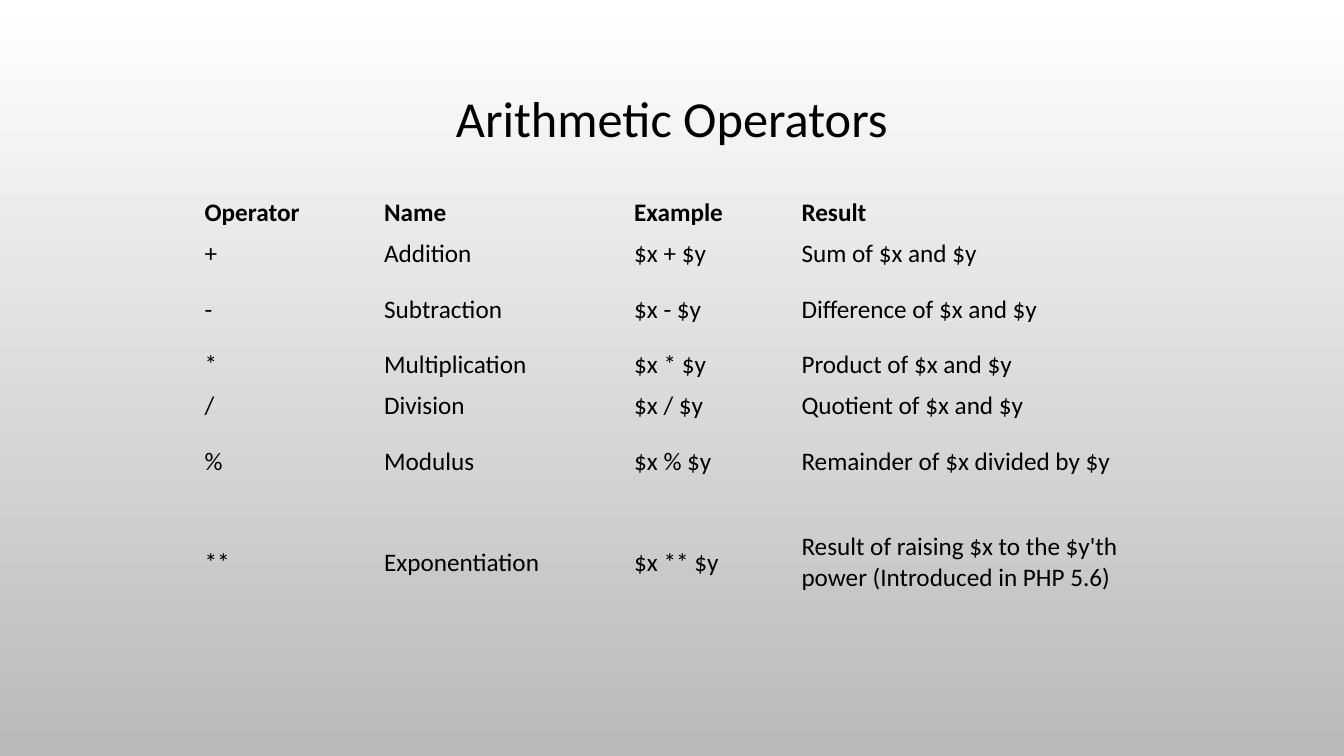
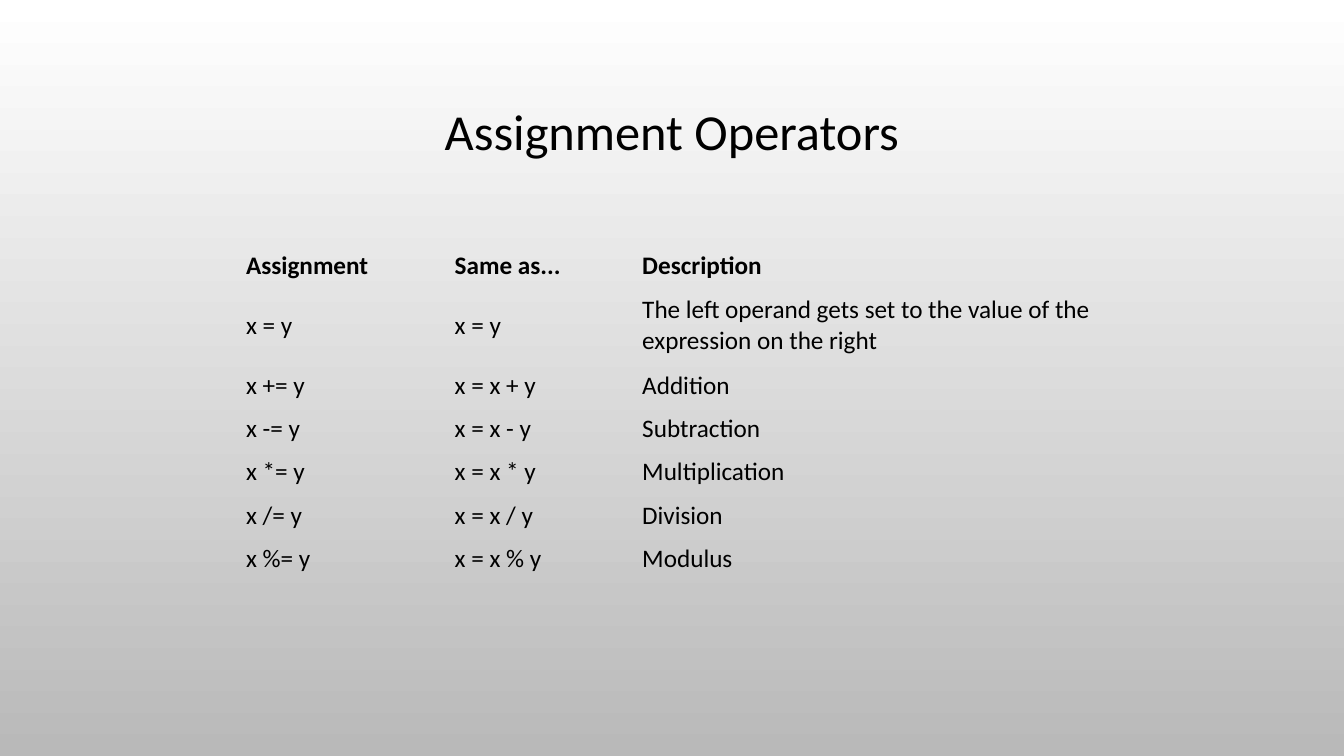
from pptx import Presentation
from pptx.dml.color import RGBColor as RGB
from pptx.enum.text import MSO_ANCHOR as Anchor, MSO_AUTO_SIZE as Fit, PP_ALIGN as Align
from pptx.oxml.ns import qn
from pptx.util import Inches, Pt

HUES = {"ink": "000000", "top": "FFFFFF", "base": "B9B9B9"}
FONT = "Calibri"
PLAIN = "{2D5ABB26-0587-4C30-8999-92F81FD0307C}"

PAGES = [
    {
        "title": "Arithmetic Operators",
        "high": 1.04,
        "spot": (1.93, 1.91),
        "cols": [1.78, 2.48, 1.66, 3.95],
        "rows": [0.4, 0.4, 0.7, 0.4, 0.4, 0.7, 1.3],
        "cells": [
            ("Operator", "Name", "Example", "Result"),
            ("+", "Addition", "$x + $y", "Sum of $x and $y"),
            ("-", "Subtraction", "$x - $y", "Difference of $x and $y"),
            ("*", "Multiplication", "$x * $y", "Product of $x and $y"),
            ("/", "Division", "$x / $y", "Quotient of $x and $y"),
            ("%", "Modulus", "$x % $y", "Remainder of $x divided by $y"),
            ("**", "Exponentiation", "$x ** $y",
             "Result of raising $x to the $y'th power (Introduced in PHP 5.6)"),
        ],
    },
    {
        "title": "Assignment Operators",
        "high": 1.31,
        "spot": (2.34, 2.42),
        "cols": [2.07, 1.86, 5.57],
        "rows": [0.43, 0.76] + [0.43] * 5,
        "cells": [
            ("Assignment", "Same as...", "Description"),
            ("x = y", "x = y",
             "The left operand gets set to the value of the expression on the right"),
            ("x += y", "x = x + y", "Addition"),
            ("x -= y", "x = x - y", "Subtraction"),
            ("x *= y", "x = x * y", "Multiplication"),
            ("x /= y", "x = x / y", "Division"),
            ("x %= y", "x = x % y", "Modulus"),
        ],
    },
]


def write(para, text, size, bold=False):
    run = para.add_run()
    run.text = text
    run.font.name = FONT
    run.font.size = Pt(size)
    run.font.bold = bold
    run.font.color.rgb = RGB.from_string(HUES["ink"])


deck = Presentation()
deck.slide_width = Inches(13.33)
deck.slide_height = Inches(7.5)

back = deck.slide_master.background.fill
back.gradient()
back.gradient_angle = 270
for stop, place, hue in zip(back.gradient_stops, (0, 1), ("top", "base")):
    stop.position = place
    stop.color.rgb = RGB.from_string(HUES[hue])

for page in PAGES:
    slide = deck.slides.add_slide(deck.slide_layouts[5])

    title = slide.shapes.title
    title.left, title.top = Inches(1), Inches(0.68)
    title.width, title.height = Inches(11.33), Inches(page["high"])
    frame = title.text_frame
    frame.auto_size = Fit.NONE
    frame.vertical_anchor = Anchor.MIDDLE
    para = frame.paragraphs[0]
    para.alignment = Align.CENTER
    para.line_spacing = 0.9
    write(para, page["title"], 36)

    cols, rows = page["cols"], page["rows"]
    left, top = page["spot"]
    table = slide.shapes.add_table(
        len(rows), len(cols), Inches(left), Inches(top),
        Inches(sum(cols)), Inches(sum(rows))).table
    table.horz_banding = False
    table._tbl.tblPr.find(qn("a:tableStyleId")).text = PLAIN
    for col, wide in zip(table.columns, cols):
        col.width = Inches(wide)
    for row, high, texts in zip(table.rows, rows, page["cells"]):
        row.height = Inches(high)
        for cell, text in zip(row.cells, texts):
            cell.fill.background()
            cell.vertical_anchor = Anchor.MIDDLE
            write(cell.text_frame.paragraphs[0], text, 18, texts is page["cells"][0])

deck.save("out.pptx")
